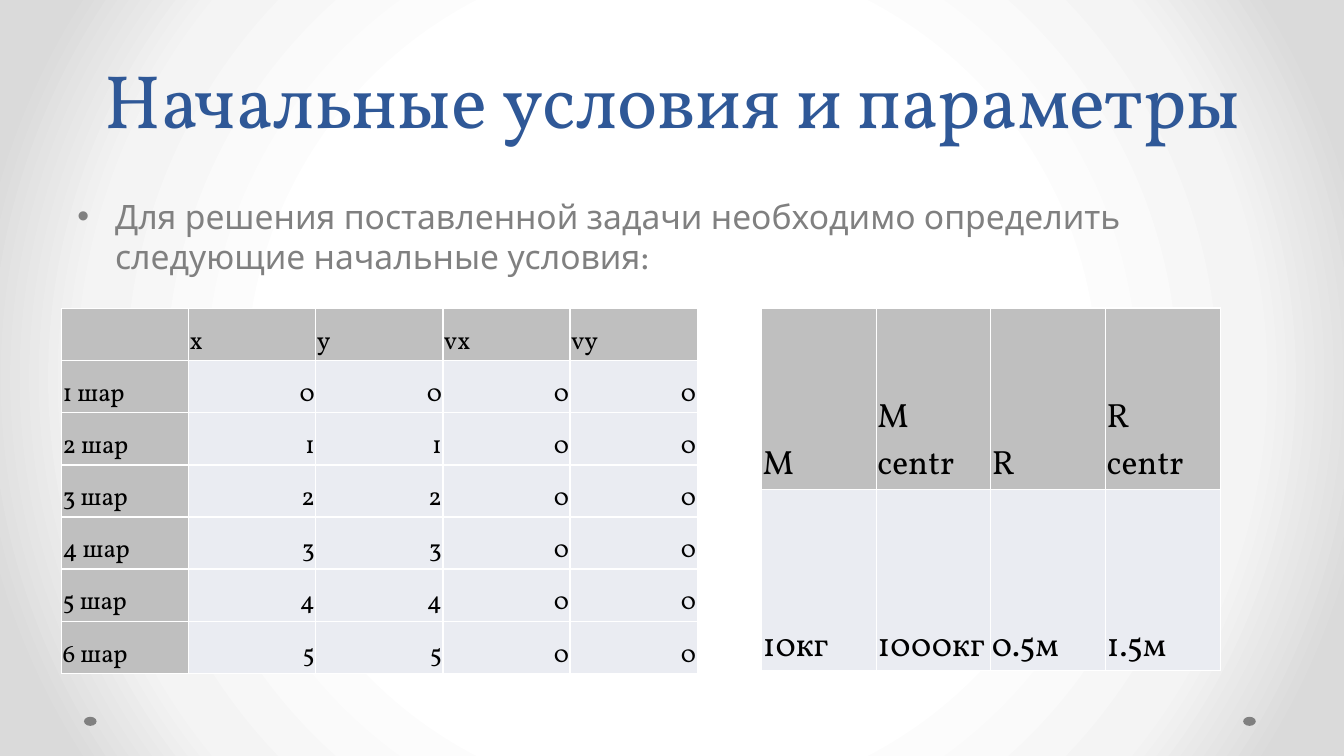
from dataclasses import dataclass

from lxml.etree import SubElement
from pptx import Presentation
from pptx.dml.color import RGBColor
from pptx.enum.shapes import MSO_SHAPE
from pptx.enum.text import MSO_ANCHOR, MSO_AUTO_SIZE, PP_ALIGN
from pptx.oxml.ns import qn
from pptx.util import Pt


@dataclass(frozen=True)
class Theme:
    serif: str = "Vollkorn"
    sans: str = "League Spartan"
    blue: str = "2F5897"
    gray: str = "808080"
    black: str = "000000"
    white: str = "FFFFFF"
    head: str = "BFBFBF"
    cell: str = "EAECF2"
    glow: tuple = ((50, "FFFFFF"), (76, "F4F4F4"), (92, "DADADA"))
    title: int = 54
    body: int = 24
    small: int = 18


THEME = Theme()


def place(shape, box):
    shape.left, shape.top, shape.width, shape.height = map(Pt, box)


def style(para, face, size, color):
    para.font.name = face
    para.font.size = Pt(size)
    para.font.color.rgb = RGBColor.from_string(color)


def add_color(node, color):
    fill = SubElement(node, qn("a:solidFill"))
    SubElement(fill, qn("a:srgbClr"), val=color)


# Background: a round glow from the centre
def draw_back(slide):
    slide.background.fill.gradient()
    grad = slide.element.find(".//" + qn("a:gradFill"))
    for child in list(grad):
        grad.remove(child)
    stops = SubElement(grad, qn("a:gsLst"))
    for pos, color in THEME.glow:
        stop = SubElement(stops, qn("a:gs"), pos=str(pos * 1000))
        SubElement(stop, qn("a:srgbClr"), val=color)
    round_ = SubElement(grad, qn("a:path"), path="circle")
    SubElement(round_, qn("a:fillToRect"), l="50000", t="50000", r="50000", b="50000")


# Footer dots at both ends of the box
def draw_dots(slide, box):
    left, top, width, height = box
    size = 9
    for x in (left, left + width - size):
        dot = slide.shapes.add_shape(MSO_SHAPE.OVAL, Pt(x), Pt(top), Pt(size), Pt(height))
        dot.shadow.inherit = False
        dot.fill.solid()
        dot.fill.fore_color.rgb = RGBColor.from_string(THEME.gray)
        dot.line.fill.background()


# Title
def draw_title(slide, box, text):
    title = slide.shapes.title
    place(title, box)
    frame = title.text_frame
    frame.text = text
    frame.auto_size = MSO_AUTO_SIZE.NONE
    frame.vertical_anchor = MSO_ANCHOR.BOTTOM
    para = frame.paragraphs[0]
    para.alignment = PP_ALIGN.CENTER
    para.line_spacing = Pt(58)
    style(para, THEME.serif, THEME.title, THEME.blue)


# Bulleted lead-in
def draw_body(slide, box, text):
    body = slide.placeholders[1]
    place(body, box)
    frame = body.text_frame
    frame.text = text
    frame.auto_size = MSO_AUTO_SIZE.NONE
    para = frame.paragraphs[0]
    para.space_before = Pt(0)
    style(para, THEME.sans, THEME.body, THEME.gray)
    props = para._p.get_or_add_pPr()
    props.set("marL", str(Pt(27)))
    props.set("indent", str(-Pt(27)))
    SubElement(props, qn("a:buChar"), char="•")


def rule_cell(cell):
    props = cell._tc.get_or_add_tcPr()
    for i, side in enumerate(("a:lnL", "a:lnR", "a:lnT", "a:lnB")):
        line = props.makeelement(qn(side), {"w": str(Pt(1))})
        add_color(line, THEME.white)
        props.insert(i, line)


# Table with an even grid; numbers are set right
def draw_table(slide, box, rows, size, side=False):
    left, top, width, height = box
    table = slide.shapes.add_table(len(rows), len(rows[0]), *map(Pt, box)).table
    table.first_row = table.horz_banding = False
    for col in table.columns:
        col.width = Pt(width / len(rows[0]))
    for r, row in enumerate(rows):
        table.rows[r].height = Pt(height / len(rows))
        for c, value in enumerate(row):
            cell = table.cell(r, c)
            cell.margin_left = cell.margin_right = cell.margin_top = Pt(0.75)
            cell.margin_bottom = Pt(0)
            cell.vertical_anchor = MSO_ANCHOR.BOTTOM
            cell.fill.solid()
            head = r == 0 or (side and c == 0)
            cell.fill.fore_color.rgb = RGBColor.from_string(THEME.head if head else THEME.cell)
            rule_cell(cell)
            cell.text_frame.text = str(value)
            for para in cell.text_frame.paragraphs:
                style(para, THEME.serif, size, THEME.black)
                if isinstance(value, int):
                    para.alignment = PP_ALIGN.RIGHT


def main():
    deck = Presentation()
    deck.slide_width, deck.slide_height = Pt(960), Pt(540)
    slide = deck.slides.add_slide(deck.slide_layouts[1])
    draw_back(slide)
    draw_dots(slide, (60, 512, 837, 6.5))
    draw_title(slide, (48, 0, 864, 106), "Начальные условия и параметры")
    draw_body(slide, (48, 136, 864, 74),
              "Для решения поставленной задачи необходимо определить "
              "следующие начальные условия:")
    units = [("M", "M\ncentr", "R", "R\ncentr"), ("10кг", "1000кг", "0.5м", "1.5м")]
    draw_table(slide, (544, 220, 327.6, 259.2), units, THEME.body)
    balls = [("", "x", "y", "vx", "vy")]
    balls += [(f"{n + 1} шар", n, n, 0, 0) for n in range(6)]
    draw_table(slide, (44, 220.5, 454, 260.4), balls, THEME.small, side=True)
    deck.save("out.pptx")


if __name__ == "__main__":
    main()
